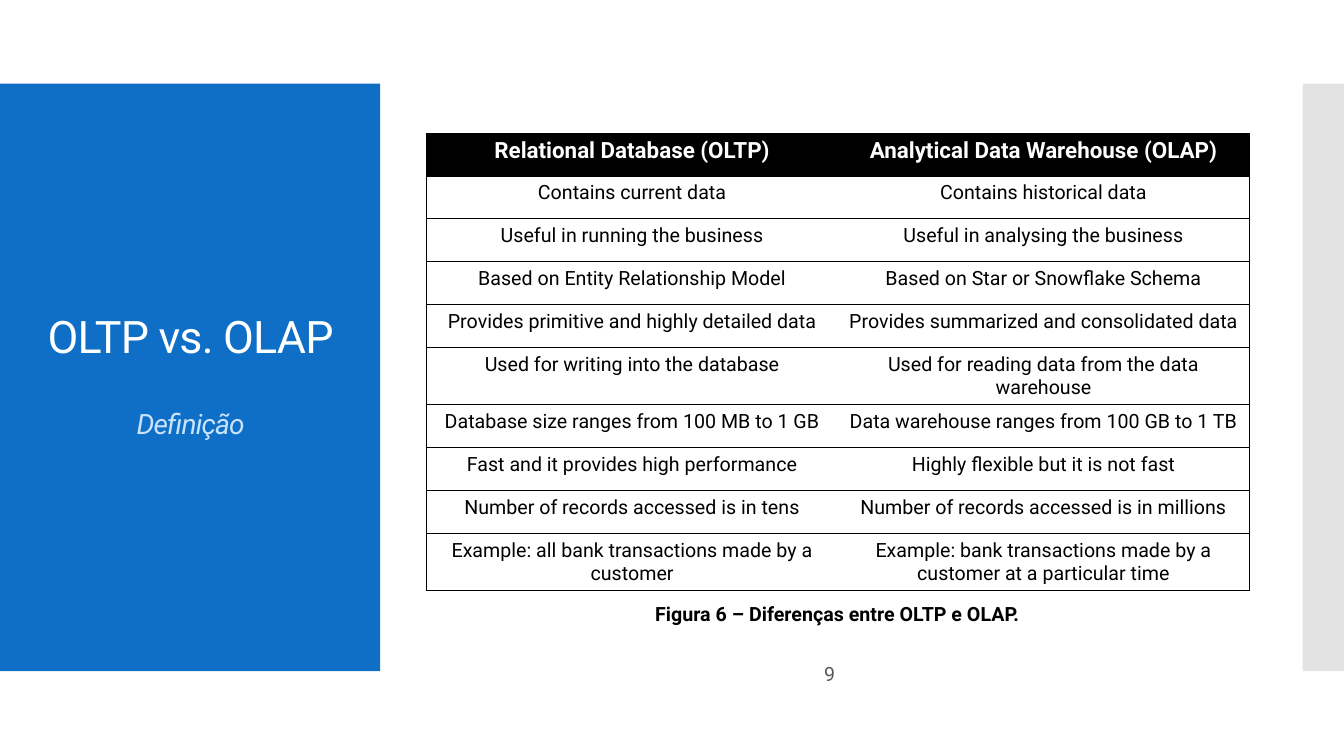
from lxml import etree
from pptx import Presentation
from pptx.dml.color import RGBColor
from pptx.enum.shapes import MSO_SHAPE
from pptx.enum.text import MSO_ANCHOR, PP_ALIGN
from pptx.oxml.ns import qn
from pptx.util import Inches, Pt

RECT = MSO_SHAPE.RECTANGLE
MIDDLE, TOP = MSO_ANCHOR.MIDDLE, MSO_ANCHOR.TOP
CENTER = PP_ALIGN.CENTER
FONT = "Roboto"
COLORS = {"blue": "0F6FC6", "pale": "C8E3FB", "silver": "C8C8C8",
          "gray": "595959", "black": "000000", "white": "FFFFFF"}
HEADS = ("Relational Database (OLTP)", "Analytical Data Warehouse (OLAP)")
FACTS = [
    ("Contains current data", "Contains historical data"),
    ("Useful in running the business", "Useful in analysing the business"),
    ("Based on Entity Relationship Model", "Based on Star or Snowflake Schema"),
    ("Provides primitive and highly detailed data",
     "Provides summarized and consolidated data"),
    ("Used for writing into the database",
     "Used for reading data from the data warehouse"),
    ("Database size ranges from 100 MB to 1 GB",
     "Data warehouse ranges from 100 GB to 1 TB"),
    ("Fast and it provides high performance", "Highly flexible but it is not fast"),
    ("Number of records accessed is in tens",
     "Number of records accessed is in millions"),
    ("Example: all bank transactions made by a customer",
     "Example: bank transactions made by a customer at a particular time"),
]
TALL_ROWS = {5, 9}


def color(name):
    return RGBColor.from_string(COLORS[name])


def write(par, text, size=14, ink="black", bold=False, italic=False,
          line=None, before=None, track=None):
    par.alignment = CENTER
    if line:
        par.line_spacing = line
    if before:
        par.space_before = Pt(before)
    run = par.add_run()
    run.text = text
    font = run.font
    font.name, font.size, font.bold, font.italic = FONT, Pt(size), bold, italic
    font.color.rgb = color(ink)
    if track:
        font._element.set("spc", str(round(track * 100)))


class Deck:
    """Draws styled elements on the current slide."""

    def __init__(self):
        self.show = Presentation()
        self.show.slide_width = Inches(13.33)
        self.show.slide_height = Inches(7.5)
        self.slide = self.show.slides.add_slide(self.show.slide_layouts[6])

    def panel(self, box, fill, alpha=None):
        shape = self.slide.shapes.add_shape(RECT, *map(Inches, box))
        shape.shadow.inherit = False
        shape.fill.solid()
        shape.fill.fore_color.rgb = color(fill)
        shape.line.fill.background()
        if alpha:
            tone = shape._element.spPr.find(qn("a:solidFill"))[0]
            etree.SubElement(tone, qn("a:alpha")).set("val", str(alpha * 1000))

    def label(self, box, *lines, anchor=TOP):
        frame = self.slide.shapes.add_textbox(*map(Inches, box)).text_frame
        frame.word_wrap = True
        frame.vertical_anchor = anchor
        for i, (text, style) in enumerate(lines):
            par = frame.add_paragraph() if i else frame.paragraphs[0]
            write(par, text, **style)

    def edge(self, cell, side, shown):
        line = etree.SubElement(cell._tc.get_or_add_tcPr(), qn(f"a:ln{side}"))
        line.set("w", str(Pt(0.75)))
        if shown:
            fill = etree.SubElement(line, qn("a:solidFill"))
            etree.SubElement(fill, qn("a:srgbClr")).set("val", COLORS["black"])
        else:
            etree.SubElement(line, qn("a:noFill"))

    def table(self, box, rows, tall, height):
        frame = self.slide.shapes.add_table(len(rows), 2, *map(Inches, box))
        grid = frame.table
        grid.horz_banding = False
        low = (box[3] - len(tall) * height) / (len(rows) - len(tall))
        for r, texts in enumerate(rows):
            grid.rows[r].height = Inches(height if r in tall else low)
            for c, text in enumerate(texts):
                cell = grid.cell(r, c)
                shown = {"L": c == 0, "R": c == 1, "T": True, "B": True}
                for side in shown:
                    self.edge(cell, side, shown[side])
                par = cell.text_frame.paragraphs[0]
                if r:
                    cell.fill.background()
                    write(par, text)
                else:
                    cell.fill.solid()
                    cell.fill.fore_color.rgb = color("black")
                    write(par, text, size=16, ink="white", bold=True)


def main():
    deck = Deck()
    deck.panel((0, 0.83, 3.77, 5.83), "blue")
    deck.panel((12.92, 0.83, 0.41, 5.83), "silver", alpha=50)
    deck.label((0.28, 1.23, 3.22, 5.03),
               ("OLTP vs. OLAP", dict(size=32, ink="white", line=0.9, track=-0.6)),
               ("Definição", dict(size=20, ink="pale", italic=True, line=0.9,
                                  before=34, track=-0.6)),
               anchor=MIDDLE)
    deck.label((4.23, 6.54, 8, 0.31), ("9", dict(ink="gray", line=0.9)))
    deck.table((4.23, 1.32, 8.16, 4.51), [HEADS] + FACTS, TALL_ROWS, 0.55)
    deck.label((5.46, 5.92, 5.69, 0.34),
               ("Figura 6 – Diferenças entre OLTP e OLAP.", dict(bold=True)))
    deck.show.save("out.pptx")


if __name__ == "__main__":
    main()
